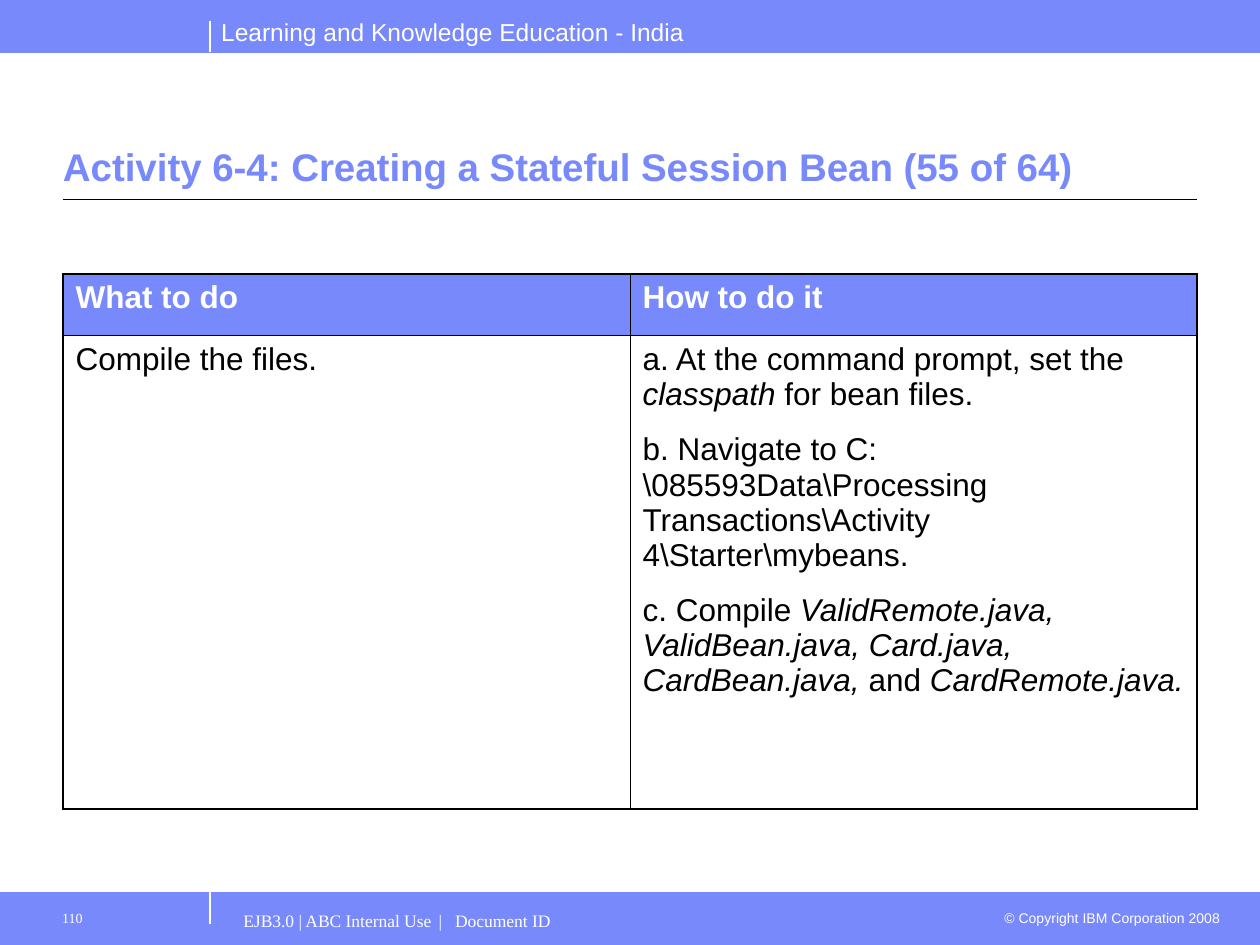
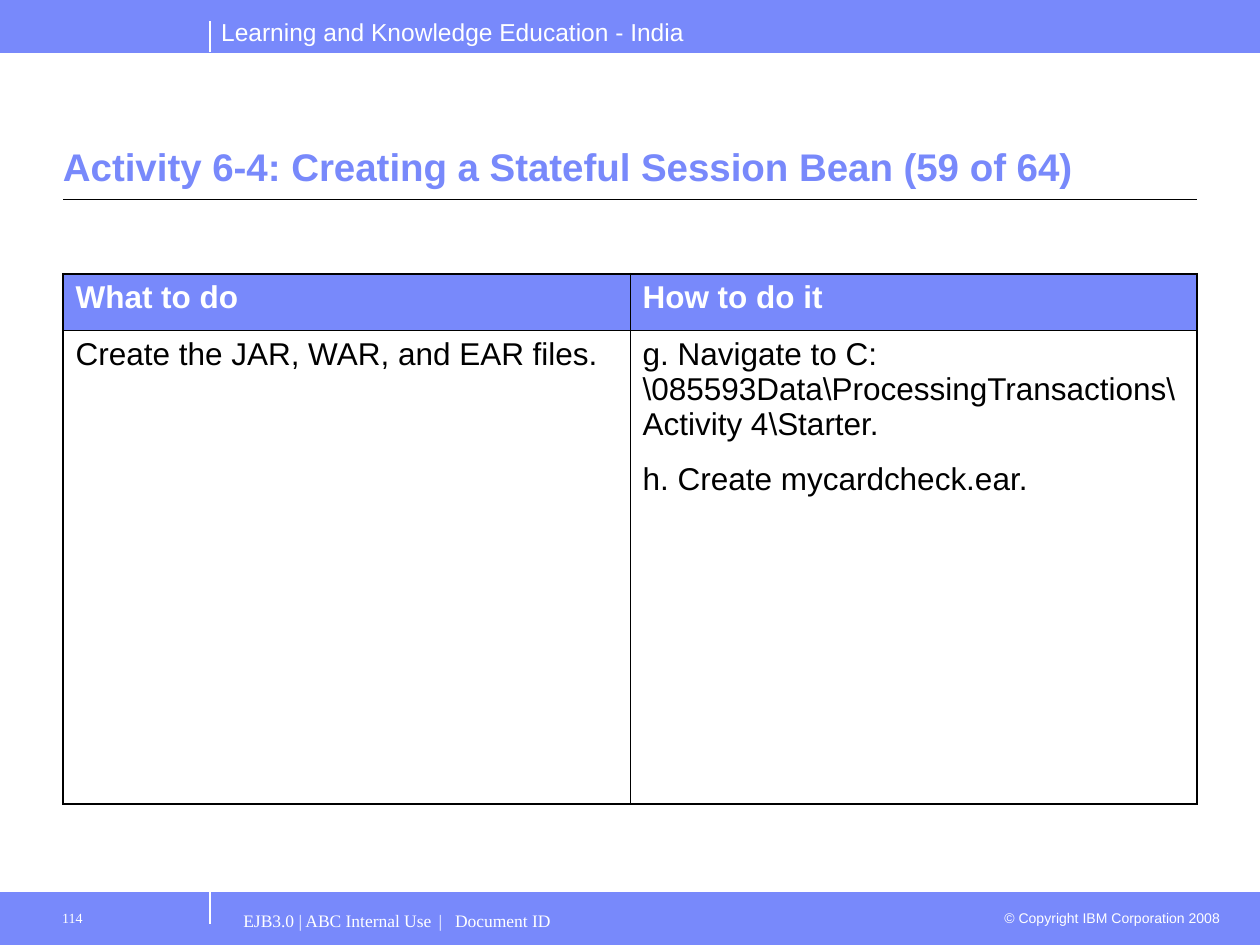
import collections

import lxml.etree
import pptx
import pptx.dml.color
import pptx.enum.shapes
import pptx.enum.text
import pptx.oxml.ns
import pptx.util

COLOURS = {"band": "7889FB", "paper": "FFFFFF", "ink": "000000"}
SANS, SERIF = "Arial", "Times New Roman"
WIDTH, HEIGHT = pptx.util.Inches(10), pptx.util.Inches(7.5)
COLUMNS, ROWS = 60, 90
OUTER_BORDER, INNER_BORDER = 1.08, 0.45
STEP_GAP = pptx.util.Pt(11.2)

# Boxes are measured in grid columns and rows.
Box = collections.namedtuple("Box", "left top width height")
HEADER = Box(0, 0, COLUMNS, 5)
FOOTER = Box(0, 85, COLUMNS, 5)
TITLE = Box(3, 7.7, 54, 11.3)
ACTIVITY = Box(3, 26.08, 54, 51)
BAND_DIVIDER = 10
TASK_ROWS = 45.1

ACTIVITIES = [
    {
        "number": "110",
        "part": 55,
        "heading_rows": 5.9,
        "task": "Compile the files.",
        "steps": [
            [("a. At the command prompt, set the ", False), ("classpath", True),
             (" for bean files.", False)],
            [(r"b. Navigate to C:\085593Data\Processing Transactions"
              r"\Activity 4\Starter\mybeans.", False)],
            [("c. Compile ", False),
             ("ValidRemote.java, ValidBean.java, Card.java, CardBean.java, ", True),
             ("and ", False), ("CardRemote.java.", True)],
        ],
    },
    {
        "number": "114",
        "part": 59,
        "heading_rows": 5.4,
        "task": "Create the JAR, WAR, and EAR files.",
        "steps": [
            [(r"g. Navigate to C:\085593Data\ProcessingTransactions"
              r"\Activity 4\Starter.", False)],
            [("h. Create mycardcheck.ear.", False)],
        ],
    },
]


def across(columns):
    return round(WIDTH * columns / COLUMNS)


def down(rows):
    return round(HEIGHT * rows / ROWS)


def lengths(box):
    return across(box.left), down(box.top), across(box.width), down(box.height)


def within(box, left, top, width, height):
    """Give a box whose position is counted from the corner of another."""
    return Box(box.left + left, box.top + top, width, height)


def rgb(colour):
    return pptx.dml.color.RGBColor.from_string(COLOURS[colour])


def add_run(paragraph, text, size, colour, font=SANS, bold=False, italic=False):
    run = paragraph.add_run()
    run.text = text
    run.font.name, run.font.size = font, pptx.util.Pt(size)
    run.font.bold, run.font.italic = bold, italic
    run.font.color.rgb = rgb(colour)


def add_label(slide, box, text, size, colour="paper", font=SANS, bold=False,
              left_inset=0.1, top_inset=0.05):
    frame = slide.shapes.add_textbox(*lengths(box)).text_frame
    frame.word_wrap = True
    frame.margin_left = pptx.util.Inches(left_inset)
    frame.margin_top = pptx.util.Inches(top_inset)
    add_run(frame.paragraphs[0], text, size, colour, font, bold)
    return frame


def add_rule(slide, start, end, colour, weight):
    rule = slide.shapes.add_connector(
        pptx.enum.shapes.MSO_CONNECTOR.STRAIGHT,
        across(start[0]), down(start[1]), across(end[0]), down(end[1]))
    rule.line.color.rgb = rgb(colour)
    rule.line.width = pptx.util.Pt(weight)
    lxml.etree.SubElement(rule._element.spPr, pptx.oxml.ns.qn("a:effectLst"))


def add_band(slide, box, edge, divider_top):
    """Draw a full-width band, the rule on its inner edge and its divider."""
    band = slide.shapes.add_shape(
        pptx.enum.shapes.MSO_SHAPE.RECTANGLE, *lengths(box))
    band.shadow.inherit = False
    band.fill.solid()
    band.fill.fore_color.rgb = rgb("band")
    band.line.color.rgb = rgb("band")
    band.line.width = pptx.util.Pt(0.75)
    add_rule(slide, (box.left, edge), (box.left + box.width, edge), "band", 0.5)
    divider = box.left + BAND_DIVIDER
    top = box.top + divider_top
    add_rule(slide, (divider, top + 3), (divider, top), "paper", 0.75)


def add_header(slide, box):
    add_band(slide, box, box.top + box.height, 2)
    add_label(slide, within(box, 9.94, 1, 26, 4),
              "Learning and Knowledge Education - India", 14)


def add_footer(slide, box, number):
    add_band(slide, box, box.top, 0)
    rights = add_label(slide, within(box, 47, 1, 11.7, 2.9),
                       "© Copyright IBM Corporation 2008", 8)
    rights.paragraphs[0].alignment = pptx.enum.text.PP_ALIGN.RIGHT
    document = add_label(slide, within(box, 11, 0.8, 36, 4.2),
                         "EJB3.0 | ABC Internal Use\t|\tDocument ID", 10,
                         font=SERIF, top_inset=0.07)
    properties = document.paragraphs[0]._p.get_or_add_pPr()
    stops = lxml.etree.SubElement(properties, pptx.oxml.ns.qn("a:tabLst"))
    for position in (1.55, 1.68):
        lxml.etree.SubElement(stops, pptx.oxml.ns.qn("a:tab"),
                              pos=str(pptx.util.Inches(position)), algn="l")
    add_label(slide, within(box, 2, 0.8, 8, 4.2), number, 8, font=SERIF,
              left_inset=0.16, top_inset=0.07)


def add_title(slide, box, text):
    """Set the title at the foot of its box, above a rule on the bottom edge."""
    title = add_label(slide, box._replace(height=box.height - 0.36), text, 22,
                      "band", bold=True, left_inset=0)
    title.margin_right = 0
    title.vertical_anchor = pptx.enum.text.MSO_ANCHOR.BOTTOM
    bottom = box.top + box.height
    add_rule(slide, (box.left, bottom), (box.left + box.width, bottom), "ink", 0.75)


def set_borders(cell, row, column):
    outer_sides = {"L": column == 0, "R": column == 1, "T": row == 0, "B": row == 1}
    properties = cell._tc.get_or_add_tcPr()
    for side, is_outer in outer_sides.items():
        weight = pptx.util.Pt(OUTER_BORDER if is_outer else INNER_BORDER)
        border = lxml.etree.SubElement(
            properties, pptx.oxml.ns.qn("a:ln" + side), w=str(weight))
        fill = lxml.etree.SubElement(border, pptx.oxml.ns.qn("a:solidFill"))
        lxml.etree.SubElement(fill, pptx.oxml.ns.qn("a:srgbClr"), val=COLOURS["ink"])


def add_activity_table(slide, box, heading_rows, task, steps):
    box = box._replace(height=heading_rows + TASK_ROWS)
    table = slide.shapes.add_table(2, 2, *lengths(box)).table
    table.first_row = table.horz_banding = False
    for column in table.columns:
        column.width = across(box.width / 2)
    for row, rows in zip(table.rows, (heading_rows, TASK_ROWS)):
        row.height = down(rows)
    contents = [
        [[[("What to do", False)]], [[("How to do it", False)]]],
        [[[(task, False)]], steps],
    ]
    for row, row_contents in enumerate(contents):
        is_heading = row == 0
        for column, paragraphs in enumerate(row_contents):
            cell = table.cell(row, column)
            set_borders(cell, row, column)
            if is_heading:
                cell.fill.solid()
                cell.fill.fore_color.rgb = rgb("band")
            else:
                cell.fill.background()
            for index, runs in enumerate(paragraphs):
                frame = cell.text_frame
                paragraph = frame.add_paragraph() if index else frame.paragraphs[0]
                paragraph.space_after = STEP_GAP
                for text, italic in runs:
                    add_run(paragraph, text, 18, "paper" if is_heading else "ink",
                            bold=is_heading, italic=italic)


def add_activity_slide(deck, activity):
    slide = deck.slides.add_slide(deck.slide_layouts[6])
    add_header(slide, HEADER)
    add_title(slide, TITLE, "Activity 6-4: Creating a Stateful Session Bean "
                            f"({activity['part']} of 64)")
    add_activity_table(slide, ACTIVITY, activity["heading_rows"],
                       activity["task"], activity["steps"])
    add_footer(slide, FOOTER, activity["number"])


def main():
    deck = pptx.Presentation()
    deck.slide_width, deck.slide_height = WIDTH, HEIGHT
    for activity in ACTIVITIES:
        add_activity_slide(deck, activity)
    deck.save("out.pptx")


if __name__ == "__main__":
    main()
